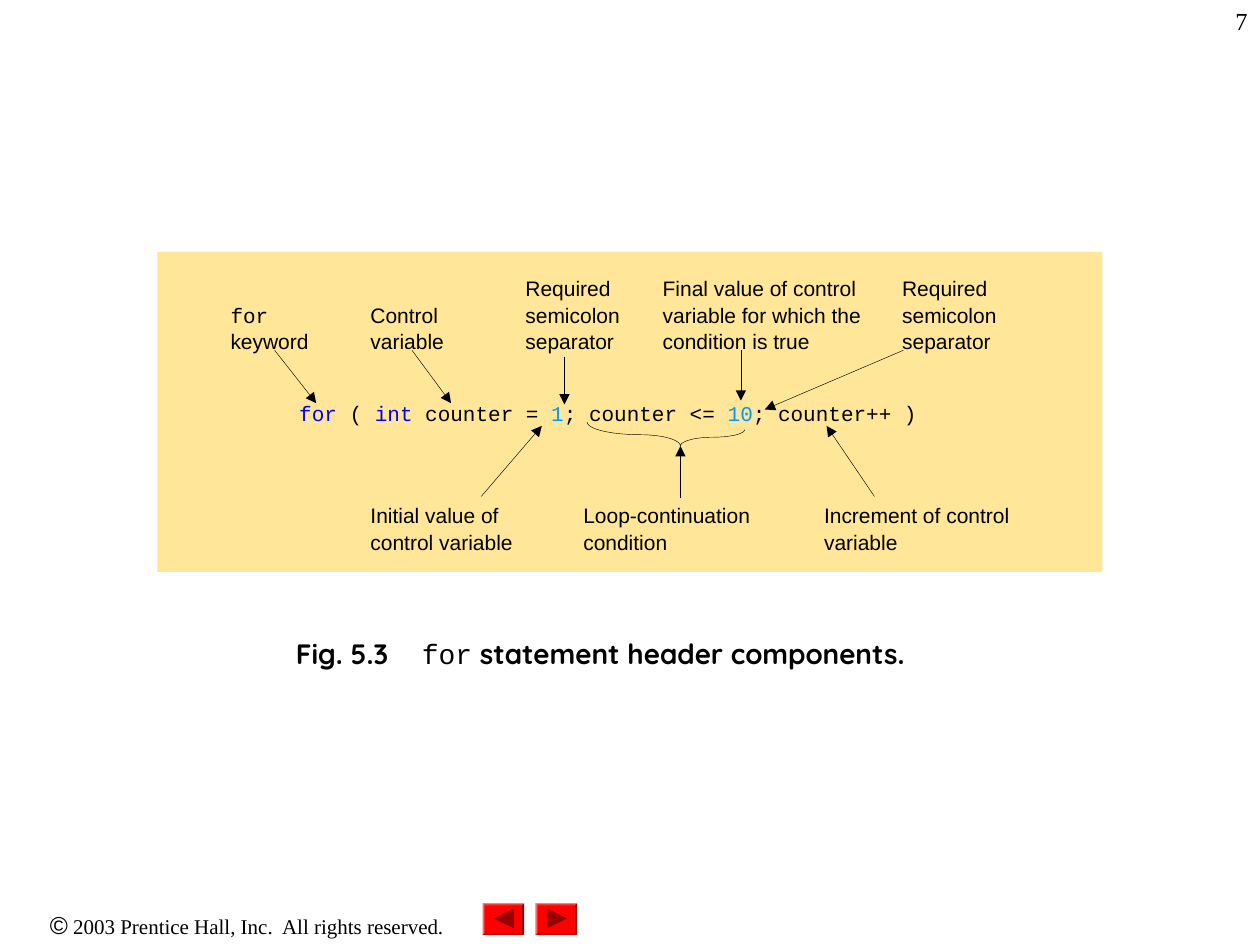
import math
import pptx
import pptx.util
import pptx.dml.color
import pptx.enum.shapes
import pptx.enum.text
import pptx.oxml.ns
import lxml.etree

Inches = pptx.util.Inches
Pt = pptx.util.Pt
SHAPE = pptx.enum.shapes.MSO_SHAPE
ALIGN = pptx.enum.text.PP_ALIGN
ANCHOR = pptx.enum.text.MSO_ANCHOR
BLACK, BLUE, SKY = "000000", "0000FF", "0099FF"
SANS, MONO, SERIF, HEAD = "Arial", "Courier New", "Times New Roman", "Quicksand"


def color(code):
    return pptx.dml.color.RGBColor.from_string(code)


def sub(parent, tag, **attrs):
    return lxml.etree.SubElement(parent, pptx.oxml.ns.qn(tag), **attrs)


def add_text(slide, box, lines, align=ALIGN.LEFT, anchor=ANCHOR.TOP,
             pad=(0, 0), space=None, tab=None):
    """Each line is a list of runs: (text, font, size, color, bold)."""
    frame = slide.shapes.add_textbox(*map(Inches, box)).text_frame
    frame.word_wrap = True
    frame.vertical_anchor = anchor
    frame.margin_left = frame.margin_right = Inches(pad[0])
    frame.margin_top = frame.margin_bottom = Inches(pad[1])
    for i, runs in enumerate(lines):
        para = frame.paragraphs[0] if i == 0 else frame.add_paragraph()
        para.alignment = align
        if space:
            para.line_spacing = space
        if tab:
            stops = sub(para._p.get_or_add_pPr(), "a:tabLst")
            sub(stops, "a:tab", pos=str(Inches(tab)), algn="l")
        for text, face, size, code, bold in runs:
            run = para.add_run()
            run.text = text
            run.font.name = face
            run.font.size = Pt(size)
            run.font.bold = bold
            run.font.color.rgb = color(code)


def add_shape(slide, kind, box, fill):
    shape = slide.shapes.add_shape(kind, *map(Inches, box))
    shape.shadow.inherit = False
    shape.fill.solid()
    shape.fill.fore_color.rgb = color(fill)
    shape.line.fill.background()
    return shape


def add_arrow(slide, tail, tip):
    line = slide.shapes.add_connector(
        pptx.enum.shapes.MSO_CONNECTOR.STRAIGHT, *map(Inches, tail + tip))
    line.line.color.rgb = color(BLACK)
    line.line.width = Pt(0.25)
    sub(line.line._get_or_add_ln(), "a:tailEnd", type="triangle")
    sub(line._element.spPr, "a:effectLst")


def arc(center, radii, start, end, steps=12):
    """Points on an ellipse between two angles in degrees, y down."""
    angles = [math.radians(start + (end - start) * i / steps)
              for i in range(steps + 1)]
    return [(center[0] + radii[0] * math.cos(a),
             center[1] + radii[1] * math.sin(a)) for a in angles]


def add_brace(slide, left, top):
    """Underlines the loop condition, with its point at the bottom."""
    points = (arc((left + 0.42, top), (0.42, 0.10), 180, 90)
              + arc((left + 0.42, top + 0.19), (0.32, 0.09), -90, 0)
              + arc((left + 1.00, top + 0.19), (0.26, 0.07), 180, 270)
              + arc((left + 1.00, top + 0.06), (0.25, 0.06), 90, 0))
    path = [(Inches(x), Inches(y)) for x, y in points]
    build = slide.shapes.build_freeform(*path[0])
    build.add_line_segments(path[1:], close=False)
    brace = build.convert_to_shape()
    brace.shadow.inherit = False
    brace.fill.background()
    brace.line.color.rgb = color(BLACK)
    brace.line.width = Pt(0.25)


def add_figure(slide, left, top, width, height):
    add_shape(slide, SHAPE.RECTANGLE, (left, top, width, height), "FFE699")
    code = [("for", BLUE), (" ( ", BLACK), ("int", BLUE),
            (" counter = ", BLACK), ("1", SKY), ("; counter <= ", BLACK),
            ("10", SKY), ("; counter++ )", BLACK)]
    add_text(slide, (left + 0.87, top + 1.22, 5.41, 0.23),
             [[(text, MONO, 12, tint, False) for text, tint in code]],
             align=ALIGN.CENTER, space=0.8)

    semi = "Required semicolon separator"
    upper = [(0.58, 0.73, ["for", "keyword"]),
             (1.69, 0.72, ["Control variable"]),
             (2.92, 0.92, [semi]),
             (4.01, 1.66, ["Final value of control variable "
                           "for which the condition is true"]),
             (5.91, 0.92, [semi])]
    lower = [(1.69, 1.45, ["Initial value of control variable"]),
             (3.38, 1.53, ["Loop-continuation condition"]),
             (5.29, 1.62, ["Increment of control variable"])]
    rows = [(upper, 0.21, 0.6, ANCHOR.BOTTOM), (lower, 1.98, 0.38, ANCHOR.TOP)]
    for labels, y, high, anchor in rows:
        for x, wide, texts in labels:
            lines = [[(text, MONO if text == "for" else SANS, 12, BLACK, False)]
                     for text in texts]
            add_text(slide, (left + x, top + y, wide, high), lines,
                     anchor=anchor, space=1.05)

    arrows = [(0.93, 0.78, 1.26, 1.20), (2.02, 0.78, 2.33, 1.20),
              (3.23, 0.83, 3.23, 1.21), (4.63, 0.78, 4.63, 1.18),
              (5.92, 0.78, 4.82, 1.25), (2.57, 1.94, 3.05, 1.38),
              (4.15, 1.95, 4.15, 1.54), (5.69, 1.94, 5.31, 1.38)]
    for x1, y1, x2, y2 in arrows:
        add_arrow(slide, (left + x1, top + y1), (left + x2, top + y2))
    add_brace(slide, left + 3.41, top + 1.35)


def add_button(slide, left, top, turn):
    base = add_shape(slide, SHAPE.BEVEL, (left, top, 0.33, 0.25), "FF0000")
    base.adjustments[0] = 0.06
    mark = add_shape(slide, SHAPE.ISOSCELES_TRIANGLE,
                     (left + 0.09, top + 0.04, 0.16, 0.16), "990000")
    mark.rotation = turn


def add_footer(slide, left, top):
    add_text(slide, (left, top, 3.92, 0.34),
             [[("©", SANS, 14, BLACK, False),
               (" 2003 Prentice Hall, Inc.  All rights reserved.",
                SERIF, 12, BLACK, False)]],
             align=ALIGN.CENTER, pad=(0.1, 0.05))
    for x, turn in ((3.83, 270), (4.25, 90)):
        add_button(slide, left + x, top, turn)


def main():
    deck = pptx.Presentation()
    deck.slide_width, deck.slide_height = Inches(10), Inches(7.5)
    slide = deck.slides.add_slide(deck.slide_layouts[6])
    add_footer(slide, 0, 7.17)
    add_text(slide, (2.25, 5, 6.17, 0.37),
             [[("Fig. 5.3\t", HEAD, 16, BLACK, True),
               ("for", MONO, 16, BLACK, False),
               (" statement header components.", HEAD, 16, BLACK, True)]],
             pad=(0.1, 0.05), tab=1)
    add_figure(slide, 1.25, 2, 7.5, 2.54)
    add_text(slide, (7.92, 0, 2.08, 0.5), [[("7", SERIF, 14, BLACK, False)]],
             align=ALIGN.RIGHT, pad=(0.1, 0.05))
    deck.save("out.pptx")


if __name__ == "__main__":
    main()
